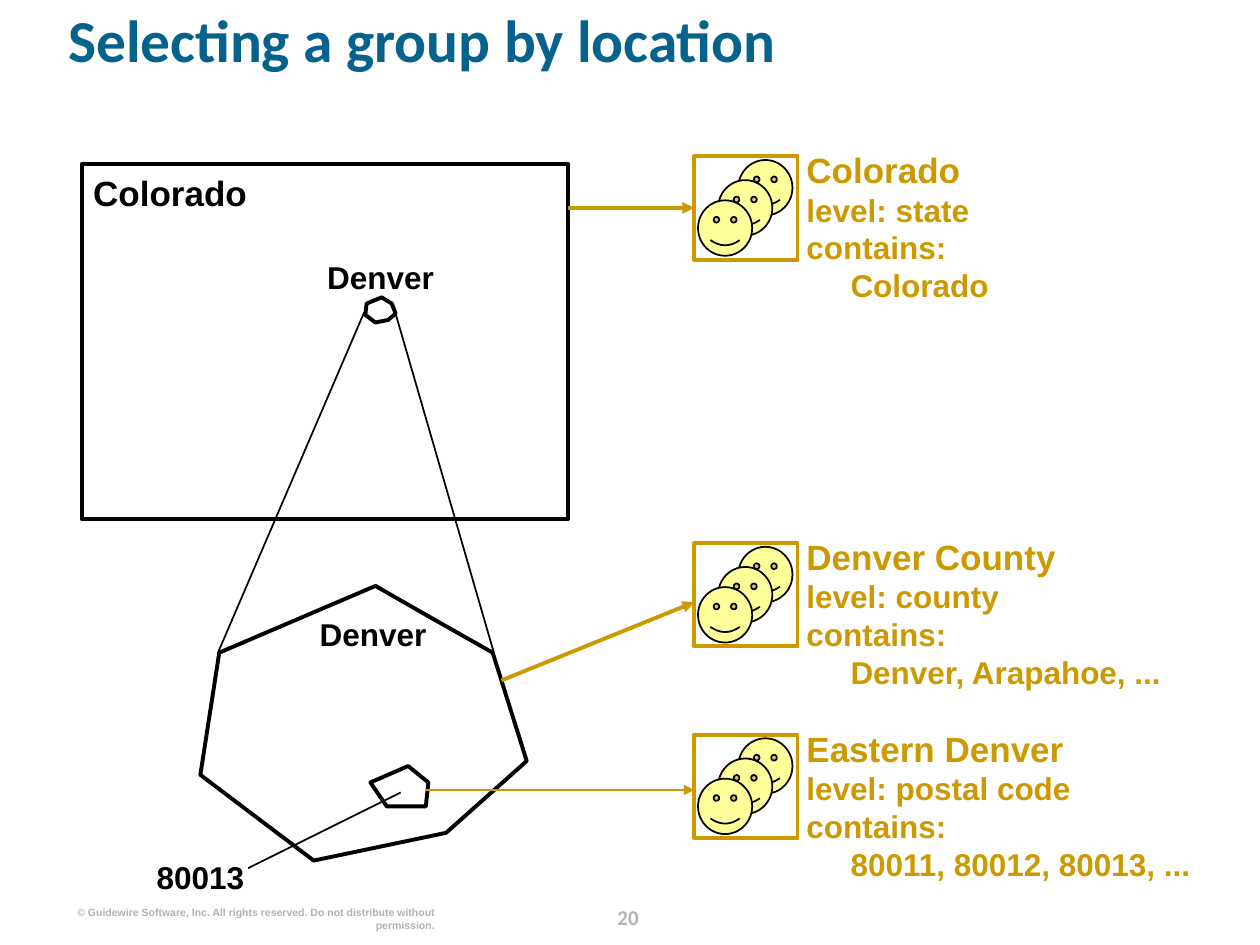
from lxml import etree
from pptx import Presentation
from pptx import util as u
from pptx.dml.color import RGBColor
from pptx.enum import shapes, text
from pptx.oxml.ns import qn

BLACK, GOLD, YELLOW, BLUE, GREY = "000000", "CC9900", "FFFF99", "04628C", "B2B2B2"
LEFT, CENTER, RIGHT = text.PP_ALIGN.LEFT, text.PP_ALIGN.CENTER, text.PP_ALIGN.RIGHT

GROUPS = [
    (1.24, "Colorado", "state", "Colorado"),
    (4.31, "Denver County", "county", "Denver, Arapahoe, ..."),
    (5.83, "Eastern Denver", "postal code", "80011, 80012, 80013, ..."),
]
COUNTY = [(2.98, 4.65), (1.74, 5.18), (1.59, 6.15), (2.49, 6.83),
          (3.54, 6.61), (4.18, 6.04), (3.91, 5.18), (3.31, 4.84)]
POSTAL_AREA = [(3.24, 6.08), (2.94, 6.21), (3.07, 6.4), (3.38, 6.4), (3.4, 6.21)]
COUNTY_ON_MAP = [(3.03, 2.36), (2.91, 2.41), (2.9, 2.5), (2.98, 2.56),
                 (3.08, 2.54), (3.14, 2.49), (3.11, 2.41), (3.06, 2.38)]
CALLOUTS = [((1.97, 6.89), (3.18, 6.29)), ((1.73, 5.18), (2.89, 2.48)),
            ((3.92, 5.18), (3.14, 2.49))]
ARROWS = [((4.51, 1.65), (5.51, 1.65), 2.25), ((3.98, 5.4), (5.51, 4.78), 2.25),
          ((3.38, 6.27), (5.51, 6.27), 1)]


def color(value):
    """Return the colour for a hex string."""
    return RGBColor.from_string(value)


def apply_format(target, values):
    """Set each named attribute on the target."""
    for name, value in values.items():
        setattr(target, name, value)


def add_text(parent, box, lines, hue, align=LEFT, font="Arial", spacing=None):
    """Add a text box from lines of (wording, size, indent)."""
    shape = parent.add_textbox(*map(u.Inches, box))
    frame = shape.text_frame
    apply_format(frame, {"word_wrap": True, "margin_left": 0, "margin_top": 0,
                         "margin_right": 0, "margin_bottom": 0})
    for index, (wording, size, indent) in enumerate(lines):
        paragraph = frame.paragraphs[0] if index == 0 else frame.add_paragraph()
        if indent:
            paragraph._p.get_or_add_pPr().set("marL", str(u.Inches(indent)))
        apply_format(paragraph, {"alignment": align, "line_spacing": spacing})
        run = paragraph.add_run()
        run.text = wording
        apply_format(run.font, {"name": font, "size": u.Pt(size), "bold": True})
        run.font.color.rgb = color(hue)


def style_shape(shape, line, width, fill=None):
    """Give a shape its outline and optional fill, without shadow."""
    shape.shadow.inherit = False
    shape.line.color.rgb = color(line)
    shape.line.width = u.Pt(width)
    if fill:
        shape.fill.solid()
        shape.fill.fore_color.rgb = color(fill)
    else:
        shape.fill.background()


def add_preset(parent, kind, box, line, width, fill=None):
    """Add a styled preset shape."""
    shape = parent.add_shape(kind, *map(u.Inches, box))
    style_shape(shape, line, width, fill)


def add_outline(parent, points):
    """Add a closed unfilled polygon."""
    start, *rest = [(u.Inches(x), u.Inches(y)) for x, y in points]
    builder = parent.build_freeform(*start)
    builder.add_line_segments(rest, close=True)
    style_shape(builder.convert_to_shape(), BLACK, 2.25)


def add_line(parent, start, end, hue, width, arrow=False):
    """Add a straight line, with an arrowhead at its end if asked."""
    line = parent.add_connector(shapes.MSO_CONNECTOR.STRAIGHT, *map(u.Inches, start + end))
    line.line.color.rgb = color(hue)
    line.line.width = u.Pt(width)
    if arrow:
        etree.SubElement(line.line._get_or_add_ln(), qn("a:tailEnd"), type="triangle")
    etree.SubElement(line._element.spPr, qn("a:effectLst"))


def add_location_group(parent, top, name, level, members):
    """Add a framed stack of faces with its description."""
    group = parent.add_group_shape().shapes
    lines = [(name, 20, 0), (f"level: {level}", 18, 0), ("contains:", 18, 0),
             (members, 18, 0.35)]
    add_text(group, (6.4, top - 0.06, 3.18, 1.23), lines, GOLD)
    for step in range(3):
        box = (5.86 - 0.16 * step, top + 0.03 + 0.16 * step, 0.43, 0.44)
        add_preset(group, shapes.MSO_SHAPE.SMILEY_FACE, box, BLACK, 1, YELLOW)
    add_preset(group, shapes.MSO_SHAPE.RECTANGLE, (5.51, top, 0.82, 0.82), GOLD, 2.25)


def main():
    """Build and save the slide."""
    presentation = Presentation()
    apply_format(presentation, {"slide_width": u.Inches(10), "slide_height": u.Inches(7.5)})
    parent = presentation.slides.add_slide(presentation.slide_layouts[6]).shapes

    add_text(parent, (4.7, 7.13, 0.57, 0.25), [("20", 12, 0)], GREY, CENTER, "Calibri", u.Pt(18))
    notice = "© Guidewire Software, Inc. All rights reserved. Do not distribute without permission."
    add_text(parent, (0.55, 7.19, 2.9, 0.2), [(notice, 6, 0)], GREY, RIGHT)
    add_text(parent, (0.54, 0.13, 9.1, 0.81), [("Selecting a group by location", 34, 0)],
             BLUE, LEFT, "Calibri", 0.8)

    for group in GROUPS:
        add_location_group(parent, *group)

    add_preset(parent, shapes.MSO_SHAPE.RECTANGLE, (0.65, 1.3, 3.86, 2.82), BLACK, 2.25)
    for points in (COUNTY, POSTAL_AREA, COUNTY_ON_MAP):
        add_outline(parent, points)

    add_text(parent, (0.74, 1.36, 1.87, 0.33), [("Colorado", 20, 0)], BLACK)
    for wording, left, top in (("Denver", 2.39, 4.88), ("80013", 1.02, 6.81),
                               ("Denver", 2.45, 2.05)):
        add_text(parent, (left, top, 1.14, 0.3), [(wording, 18, 0)], BLACK, CENTER)

    for start, end in CALLOUTS:
        add_line(parent, start, end, BLACK, 1)
    for start, end, width in ARROWS:
        add_line(parent, start, end, GOLD, width, arrow=True)

    presentation.save("out.pptx")


if __name__ == "__main__":
    main()
